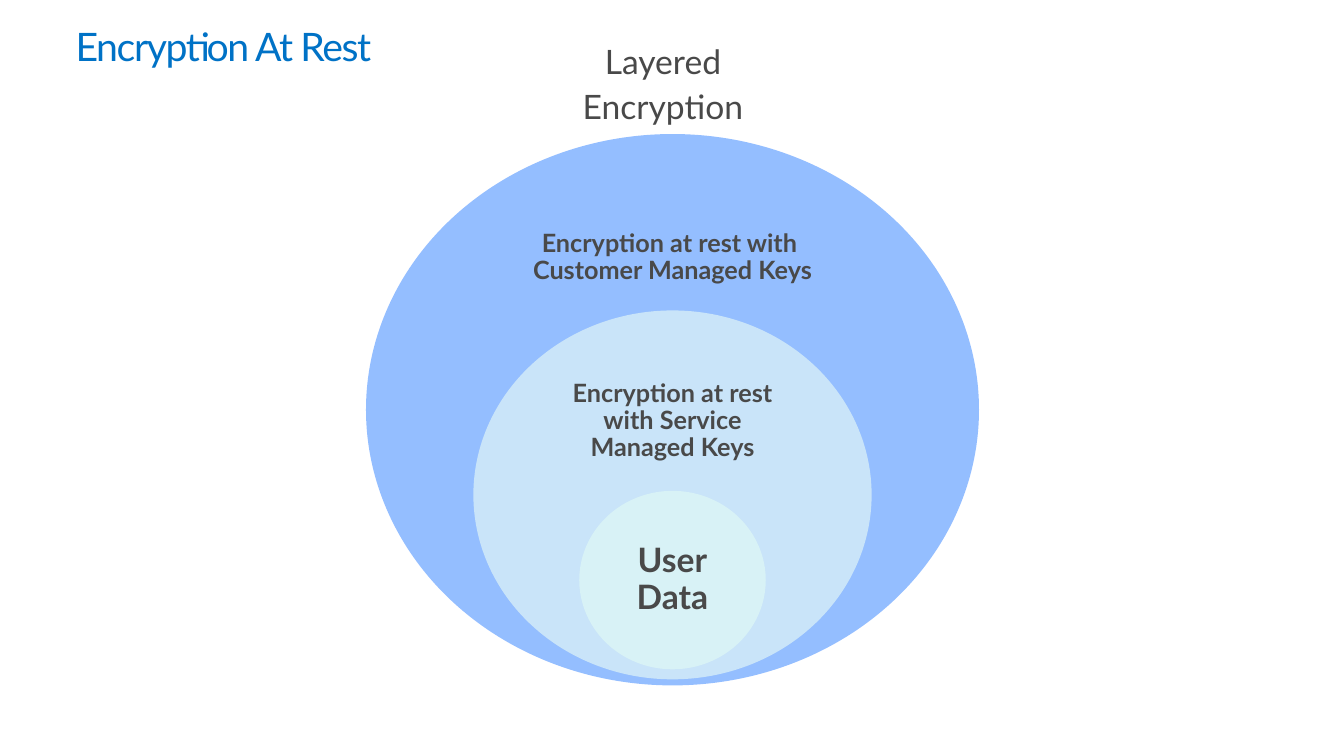
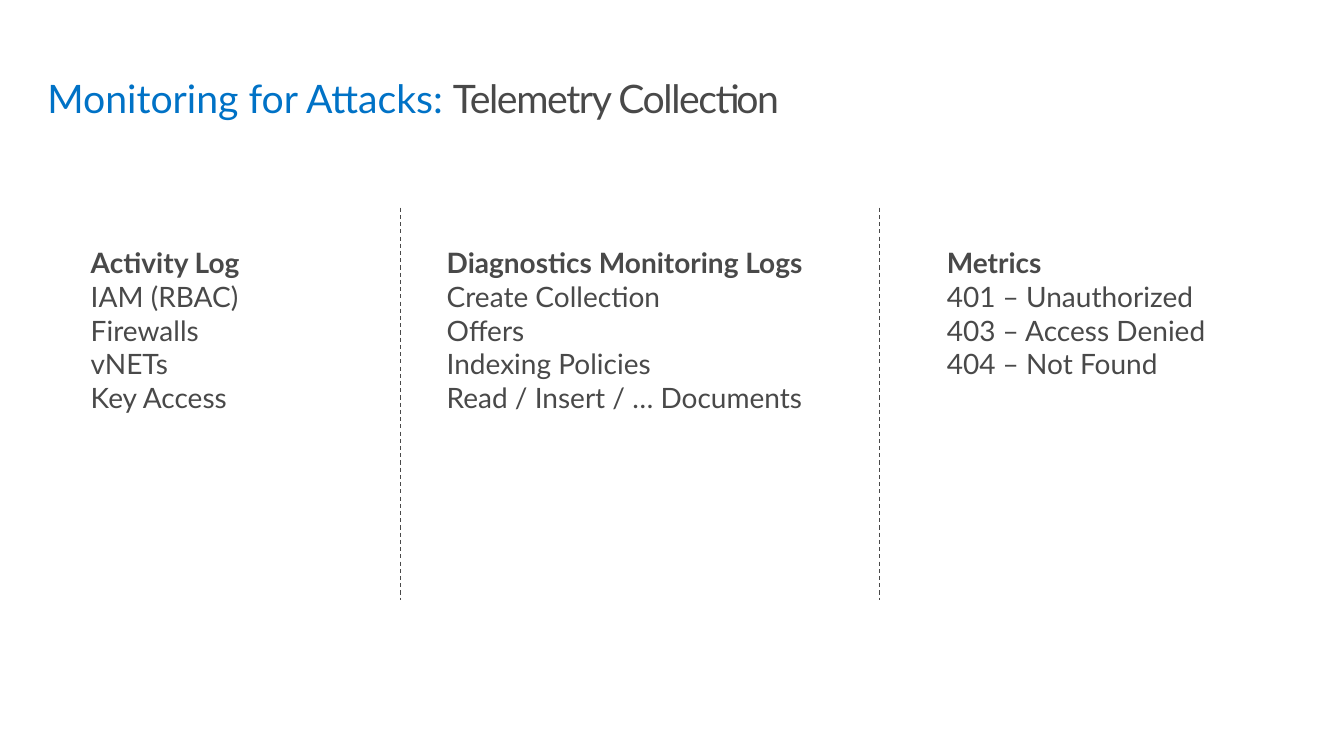
from lxml import etree
from pptx import Presentation
from pptx.dml.color import RGBColor
from pptx.enum.dml import MSO_LINE
from pptx.enum.shapes import MSO_CONNECTOR, MSO_SHAPE
from pptx.enum.text import MSO_ANCHOR, MSO_AUTO_SIZE, PP_ALIGN
from pptx.oxml.ns import qn
from pptx.util import Inches, Pt

TOP, MIDDLE = MSO_ANCHOR.TOP, MSO_ANCHOR.MIDDLE
LEFT, CENTER = PP_ALIGN.LEFT, PP_ALIGN.CENTER
OVAL, STRAIGHT = MSO_SHAPE.OVAL, MSO_CONNECTOR.STRAIGHT
TITLE_ONLY, COMPARISON = 5, 4

FONT = "Lato"
COLORS = {
    "title": "0072C6",
    "text": "494949",
    "outer": "94BEFF",
    "middle": "C9E4F9",
    "inner": "D8F2F6",
}
TITLE_SIZE = 28
DEFAULT_INSETS = (0.1, 0.05)
TITLE_INSETS = (0.16, 0.1)
LAYER_INSETS = (0.2, 0.16)

# Title runs: text, colour, letter spacing in points
ENCRYPTION_TITLE = [("Encryption At Rest", "title", -1)]
MONITORING_TITLE = [
    ("Monitoring for Attacks: ", "title", 0),
    ("Telemetry Collection", "text", -1),
]

LAYERS_CENTER = 6.67
LAYERS_HEADING = ["Layered", "Encryption"]
# Layers: lines, fill, top, width, height, text size, anchor
LAYERS = [
    (["Encryption at rest with ", "Customer Managed Keys"],
     "outer", 1.33, 6.08, 5.47, 18, TOP),
    (["Encryption at rest with Service Managed Keys"],
     "middle", 3.08, 3.95, 3.66, 18, TOP),
    (["User", "Data"], "inner", 4.87, 1.85, 1.77, 24, MIDDLE),
]

COLUMN_TOP, COLUMN_HEIGHT = 2.39, 2.39
# Columns: left, width, heading, entries
COLUMNS = [
    (0.8, 2.95, "Activity Log",
     ["IAM (RBAC)", "Firewalls", "vNETs", "Key Access"]),
    (4.33, 4.18, "Diagnostics Monitoring Logs",
     ["Create Collection", "Offers", "Indexing Policies",
      "Read / Insert / … Documents"]),
    (9.29, 3.67, "Metrics",
     ["401 – Unauthorized", "403 – Access Denied", "404 – Not Found"]),
]
DIVIDER_LEFTS = [3.97, 8.72]
DIVIDER_TOP, DIVIDER_BOTTOM = 2.06, 5.95


def rgb(name):
    return RGBColor.from_string(COLORS[name])


def place(shape, left, top, width, height):
    box = {"left": left, "top": top, "width": width, "height": height}
    for name, value in box.items():
        setattr(shape, name, Inches(value))


def format_frame(frame, insets, anchor=TOP):
    side, end = (Inches(inset) for inset in insets)
    values = {
        "margin_left": side, "margin_right": side,
        "margin_top": end, "margin_bottom": end,
        "word_wrap": True, "auto_size": MSO_AUTO_SIZE.NONE,
        "vertical_anchor": anchor,
    }
    for name, value in values.items():
        setattr(frame, name, value)


def format_font(font, size, color="text", bold=False):
    values = {"name": FONT, "size": Pt(size), "bold": bold}
    for name, value in values.items():
        setattr(font, name, value)
    font.color.rgb = rgb(color)


def write_lines(frame, lines, size, bold_lines=0, alignment=LEFT,
                line_spacing=1.0, space_after=0):
    """Write one paragraph per line; the first bold_lines of them are bold."""
    for index, line in enumerate(lines):
        paragraph = frame.paragraphs[0] if index == 0 else frame.add_paragraph()
        paragraph.alignment = alignment
        paragraph.line_spacing = line_spacing
        paragraph.space_before = Pt(0)
        paragraph.space_after = Pt(space_after)
        run = paragraph.add_run()
        run.text = line
        format_font(run.font, size, bold=index < bold_lines)


def remove_bullets(frame):
    for paragraph in frame.paragraphs:
        properties = paragraph._p.get_or_add_pPr()
        properties.set("marL", "0")
        properties.set("indent", "0")
        etree.SubElement(properties, qn("a:buNone"))


def set_title(slide, runs, box, insets, anchor, line_spacing):
    title = slide.shapes.title
    place(title, *box)
    format_frame(title.text_frame, insets, anchor)
    paragraph = title.text_frame.paragraphs[0]
    paragraph.alignment = LEFT
    paragraph.line_spacing = line_spacing
    for text, color, spacing in runs:
        run = paragraph.add_run()
        run.text = text
        format_font(run.font, TITLE_SIZE, color)
        run._r.get_or_add_rPr().set("spc", str(spacing * 100))


def add_layer(slide, lines, fill, top, width, height, size, anchor):
    left = LAYERS_CENTER - width / 2
    oval = slide.shapes.add_shape(
        OVAL, Inches(left), Inches(top), Inches(width), Inches(height))
    oval.shadow.inherit = False
    oval.fill.solid()
    oval.fill.fore_color.rgb = rgb(fill)
    oval.line.fill.background()
    format_frame(oval.text_frame, LAYER_INSETS, anchor)
    write_lines(oval.text_frame, lines, size, len(lines), CENTER, 0.9)


def add_divider(slide, left):
    line = slide.shapes.add_connector(
        STRAIGHT, Inches(left), Inches(DIVIDER_TOP),
        Inches(left), Inches(DIVIDER_BOTTOM))
    line.line.color.rgb = rgb("text")
    line.line.width = Pt(0.75)
    line.line.dash_style = MSO_LINE.DASH
    etree.SubElement(line._element.spPr, qn("a:effectLst"))


def build_encryption_slide(presentation):
    slide = presentation.slides.add_slide(presentation.slide_layouts[TITLE_ONLY])
    set_title(slide, ENCRYPTION_TITLE, (0.59, 0.17, 12.74, 0.98),
              TITLE_INSETS, TOP, 0.9)
    for layer in LAYERS:
        add_layer(slide, *layer)
    heading = slide.shapes.add_textbox(
        Inches(5.39), Inches(0.29), Inches(2.37), Inches(1.13))
    format_frame(heading.text_frame, LAYER_INSETS)
    write_lines(heading.text_frame, LAYERS_HEADING, 24, alignment=CENTER,
                line_spacing=0.9, space_after=6)


def build_monitoring_slide(presentation):
    slide = presentation.slides.add_slide(presentation.slide_layouts[COMPARISON])
    set_title(slide, MONITORING_TITLE, (0.37, 0.25, 12.6, 1.45),
              DEFAULT_INSETS, MIDDLE, 1.0)
    bodies = list(slide.placeholders)[1:]
    for body, (left, width, heading, entries) in zip(bodies, COLUMNS):
        place(body, left, COLUMN_TOP, width, COLUMN_HEIGHT)
        format_frame(body.text_frame, DEFAULT_INSETS)
        write_lines(body.text_frame, [heading] + entries, 20, bold_lines=1)
        remove_bullets(body.text_frame)
    for unused in bodies[len(COLUMNS):]:
        unused._element.getparent().remove(unused._element)
    for left in DIVIDER_LEFTS:
        add_divider(slide, left)


def main():
    presentation = Presentation()
    presentation.slide_width = Inches(13.33)
    presentation.slide_height = Inches(7.5)
    build_encryption_slide(presentation)
    build_monitoring_slide(presentation)
    presentation.save("out.pptx")


if __name__ == "__main__":
    main()
